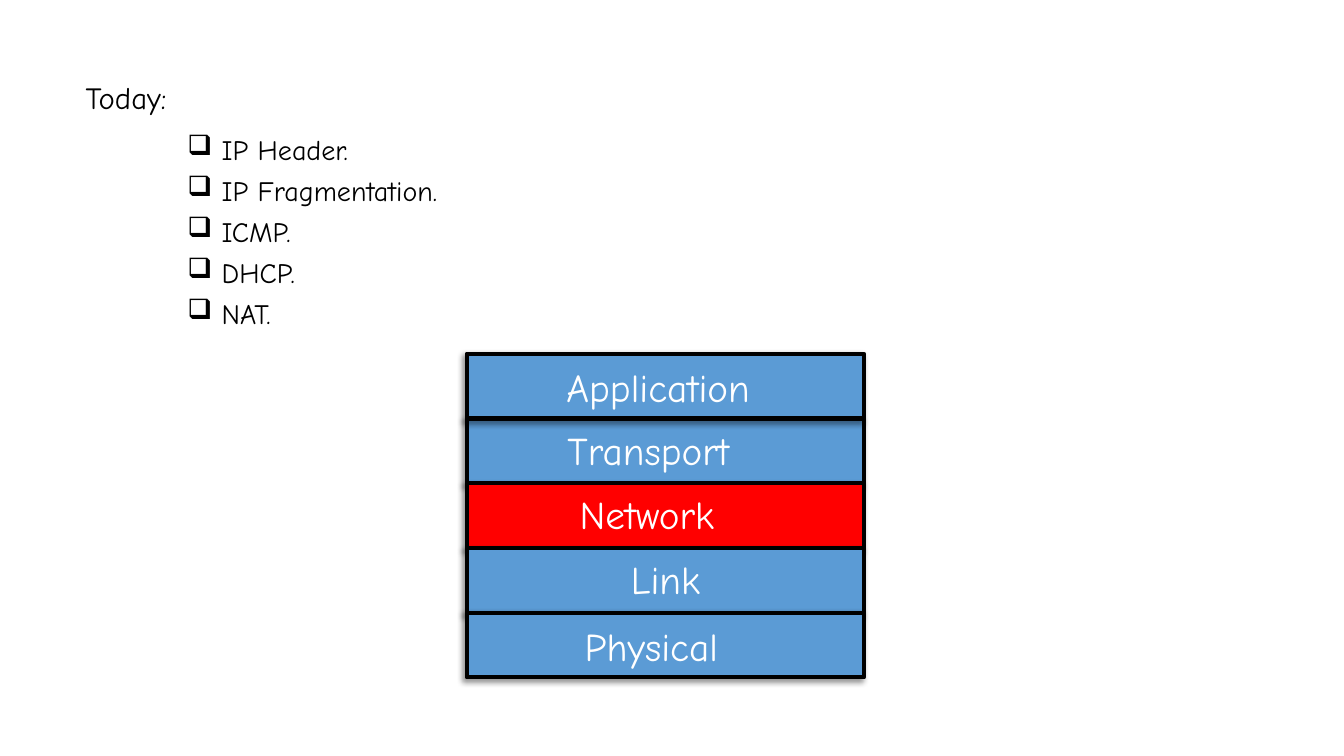
import pptx
import pptx.util
import pptx.dml.color
import pptx.enum.shapes
import pptx.enum.text
import pptx.oxml
import pptx.oxml.ns

HEADING = "Today:"
TOPICS = ["IP Header.", "IP Fragmentation.", "ICMP.", "DHCP.", "NAT."]
LEFT = pptx.enum.text.PP_ALIGN.LEFT
CENTER = pptx.enum.text.PP_ALIGN.CENTER
LAYERS = [
    ("Application", "layer", (552, 356), LEFT),
    ("Transport", "layer", (553, 418), LEFT),
    ("Network", "current", (565, 482), LEFT),
    ("Link", "layer", (539, 546), CENTER),
    ("Physical", "layer", (570, 612), LEFT),
]
DRAW_ORDER = [1, 0, 2, 3, 4]

THEME = {
    "font": "Comic Neue",
    "text": "000000",
    "label": "FFFFFF",
    "layer": "5B9BD5",
    "current": "FF0000",
    "border": "000000",
    "heading_size": 22,
    "topic_size": 20,
    "label_size": 28,
    "border_width": 3,
}

EMU_PER_PX = 9144
SLIDE_SIZE = (1333, 750)
HEADING_BOX = (75, 77, 1150, 51)
TOPICS_BOX = (176, 133, 1112, 214)
STACK_LEFT, STACK_TOP, STACK_WIDTH, STACK_HEIGHT = 463, 351, 394, 321
LABEL_SIZE = (242, 57)
BULLET_INDENT = 34
SPACE_BEFORE = 10

SHADOW = (
    f'<a:effectLst {pptx.oxml.ns.nsdecls("a")}>'
    '<a:outerShdw blurRad="50800" dist="38100" dir="8100000" algn="tr" rotWithShape="0">'
    '<a:srgbClr val="000000"><a:alpha val="40000"/></a:srgbClr>'
    "</a:outerShdw></a:effectLst>"
)


def px(length):
    return pptx.util.Emu(round(length * EMU_PER_PX))


def color(name):
    return pptx.dml.color.RGBColor.from_string(THEME[name])


def add_bullet(paragraph):
    properties = paragraph._p.get_or_add_pPr()
    properties.set("marL", str(px(BULLET_INDENT)))
    properties.set("indent", str(-px(BULLET_INDENT)))
    properties.append(pptx.oxml.parse_xml(
        f'<a:buChar {pptx.oxml.ns.nsdecls("a")} char="❑"/>'))


def add_text(slide, box, lines, size, color_name, align=LEFT, line_spacing=1.0, bullets=False):
    frame = slide.shapes.add_textbox(*map(px, box)).text_frame
    frame.word_wrap = True
    for index, line in enumerate(lines):
        paragraph = frame.add_paragraph() if index else frame.paragraphs[0]
        if bullets:
            add_bullet(paragraph)
        paragraph.alignment = align
        paragraph.line_spacing = line_spacing
        if index:
            paragraph.space_before = pptx.util.Pt(SPACE_BEFORE)
        run = paragraph.add_run()
        run.text = line
        run.font.name = THEME["font"]
        run.font.size = pptx.util.Pt(THEME[size])
        run.font.color.rgb = color(color_name)


def add_layer(slide, row, fill):
    height = STACK_HEIGHT / len(LAYERS)
    box = (STACK_LEFT, STACK_TOP + row * height, STACK_WIDTH, height)
    shape = slide.shapes.add_shape(
        pptx.enum.shapes.MSO_SHAPE.RECTANGLE, *map(px, box))
    shape.fill.solid()
    shape.fill.fore_color.rgb = color(fill)
    shape.line.color.rgb = color("border")
    shape.line.width = pptx.util.Pt(THEME["border_width"])
    shape._element.spPr.append(pptx.oxml.parse_xml(SHADOW))


def main():
    presentation = pptx.Presentation()
    presentation.slide_width, presentation.slide_height = map(px, SLIDE_SIZE)
    slide = presentation.slides.add_slide(presentation.slide_layouts[6])
    add_text(slide, HEADING_BOX, [HEADING], "heading_size", "text", line_spacing=0.9)
    add_text(slide, TOPICS_BOX, TOPICS, "topic_size", "text", line_spacing=0.8, bullets=True)
    for row in DRAW_ORDER:
        add_layer(slide, row, LAYERS[row][1])
    for name, _, position, align in LAYERS:
        add_text(slide, position + LABEL_SIZE, [name], "label_size", "label", align)
    presentation.save("out.pptx")


if __name__ == "__main__":
    main()
